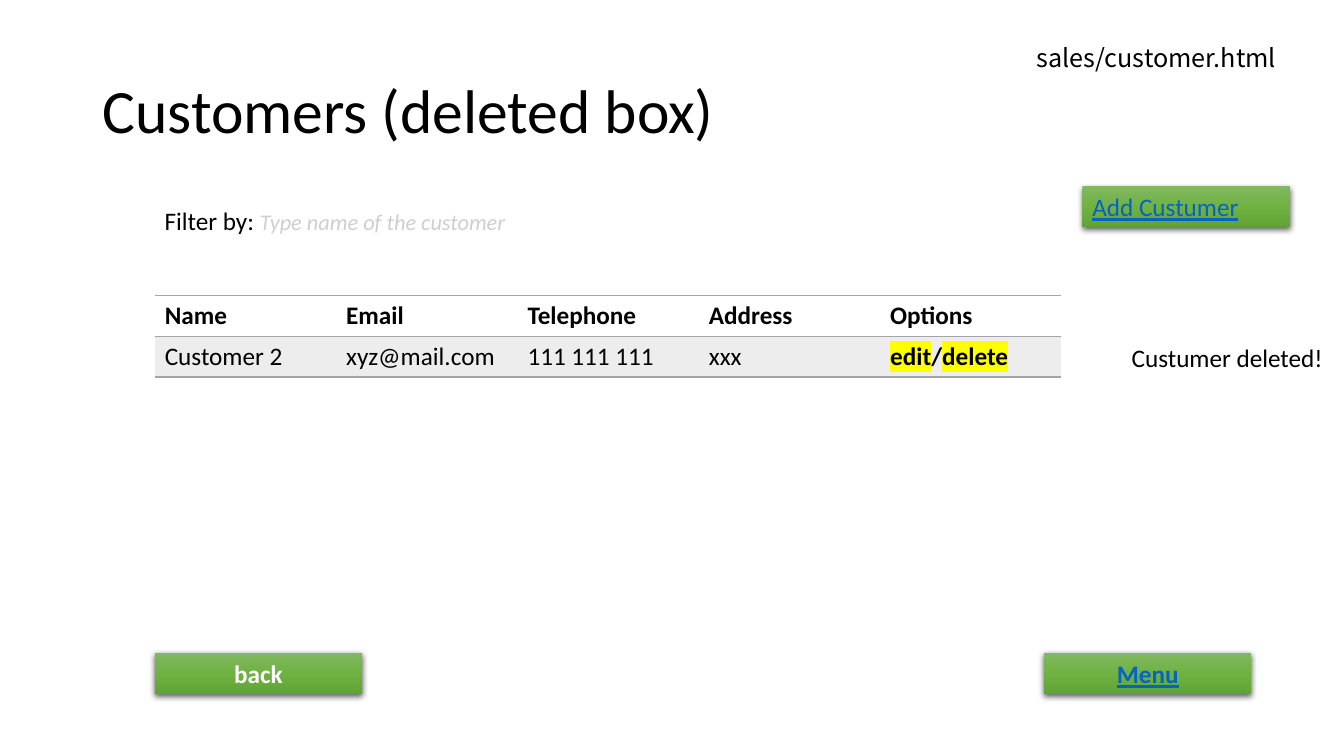
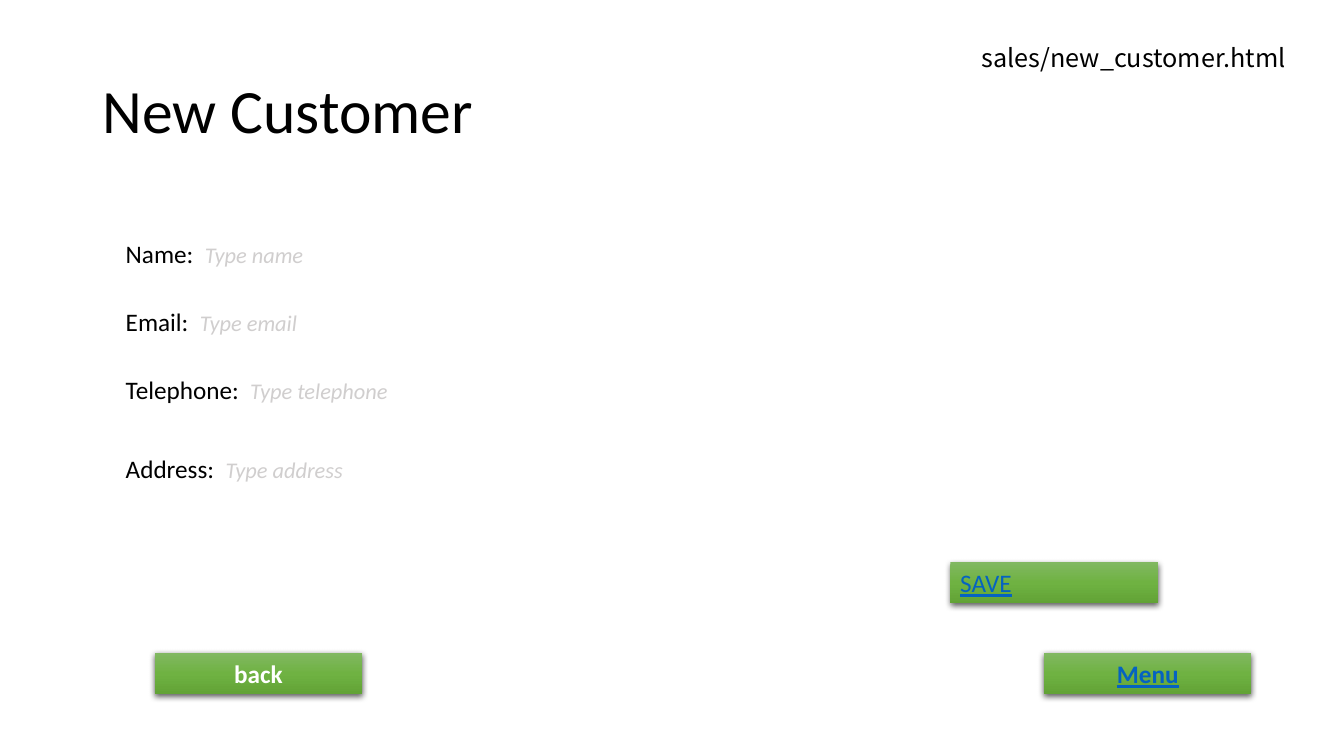
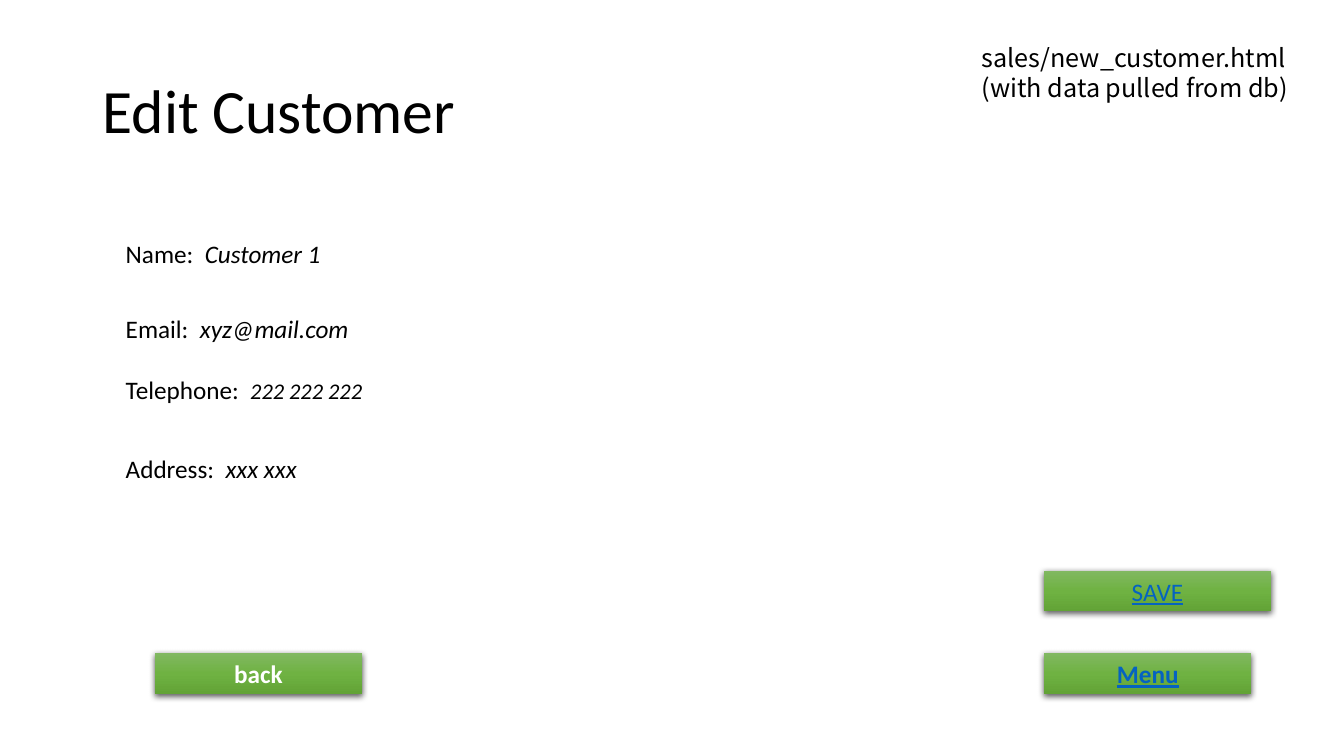
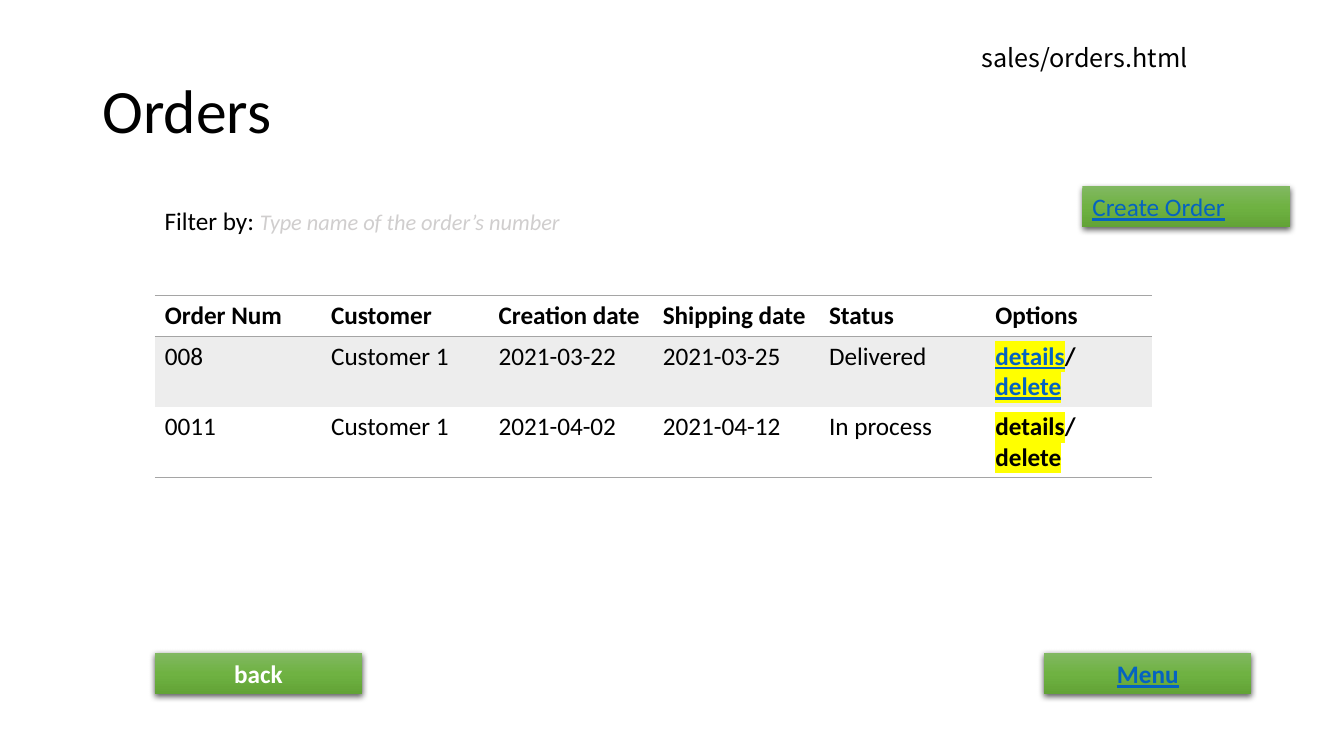
"""Build four wireframe slides for the customer and order screens of a sales application."""
import pptx
import pptx.dml.color
import pptx.enum.shapes
import pptx.enum.text
import pptx.oxml
import pptx.oxml.ns
import pptx.util

Cm = pptx.util.Cm
Pt = pptx.util.Pt
PP_ALIGN = pptx.enum.text.PP_ALIGN

BLACK, WHITE, LINK, HINT = "000000", "FFFFFF", "0563C1", "D0CECE"
RULE, BAND, YELLOW = "A5A5A5", "EDEDED", "FFFF00"
GRADIENT = [(0, "81B861"), (50, "6FB242"), (100, "62A336")]
BODY_FONT, PATH_FONT = "Calibri", "Noto Sans CJK SC"

LINE_H = 1.03
BUTTON_W = 5.23
TITLE_BOX = (2.33, 1.01, 29.21, 3.68)
FILTER_BOX = (3.9, 5.05, 21.46, LINE_H)
TABLE_LEFT, TABLE_TOP = 3.9, 7.44
FIELD_LEFT, FIELD_W = 2.92, 9.47
PATH_TOP, PATH_RIGHT = 0.94, 32.74

HINT_STYLE = {"size": 16, "color": HINT, "italic": True}
LINK_STYLE = {"color": LINK, "underline": True}
MARK = {"bold": True, "highlight": YELLOW}
LINK_MARK = {**MARK, **LINK_STYLE}
BOLD = {"bold": True}
ITALIC = {"italic": True}

CREATE_BOX = (27.28, 4.7, BUTTON_W)
NAV_BUTTONS = [
    {"text": "Menu", "box": (26.31, 16.46, BUTTON_W), "centre": True, "style": {**LINK_STYLE, **BOLD}},
    {"text": "back", "box": (3.9, 16.46, BUTTON_W), "centre": True, "style": {"color": WHITE, **BOLD}},
]

SLIDES = [
    {
        "title": "Customers (deleted box)",
        "path": ["sales/customer.html"], "path_left": 25.88, "path_h": LINE_H,
        "button": {"text": "Add Custumer", "box": CREATE_BOX, "centre": False},
        "filter": "Type name of the customer",
        "cols": [4.57] * 5,
        "rows": [
            ["Name", "Email", "Telephone", "Address", "Options"],
            ["Customer 2", "xyz@mail.com", "111 111 111", "xxx",
             [("edit", MARK), ("/", BOLD), ("delete", MARK)]],
        ],
        "message": ("Custumer deleted!", (28.27, 8.51, 5.59, LINE_H)),
    },
    {
        "title": "New Customer",
        "path": ["sales/new_customer.html"], "path_left": 24.49, "path_h": LINE_H,
        "button": {"text": "SAVE", "box": (23.95, 14.17, BUTTON_W), "centre": False},
        "fields": [
            (5.89, "Name:", "Type name", HINT_STYLE),
            (7.59, "Email:", "Type email", HINT_STYLE),
            (9.3, "Telephone:", "Type telephone", HINT_STYLE),
            (11.3, "Address:", "Type address", HINT_STYLE),
        ],
    },
    {
        "title": "Edit Customer",
        "path": ["sales/new_customer.html", "(with data pulled from db)"],
        "path_left": 24.49, "path_h": 2.57,
        "button": {"text": "SAVE", "box": (26.31, 14.38, 5.72), "centre": True},
        "fields": [
            (5.89, "Name:", "Customer 1", ITALIC),
            (7.77, "Email:", "xyz@mail.com", ITALIC),
            (9.3, "Telephone:", "222 222 222", {"size": 16, **ITALIC}),
            (11.3, "Address:", "xxx xxx", ITALIC),
        ],
    },
    {
        "title": "Orders",
        "path": ["sales/orders.html"], "path_left": 24.49, "path_h": LINE_H,
        "button": {"text": "Create Order", "box": CREATE_BOX, "centre": False},
        "filter": "Type name of the order’s number",
        "cols": [4.19, 4.22, 4.14, 4.19, 4.19, 4.19],
        "rows": [
            ["Order Num", "Customer", "Creation date", "Shipping date", "Status", "Options"],
            ["008", "Customer 1", "2021-03-22", "2021-03-25", "Delivered",
             [("details", LINK_MARK), ("/", BOLD), ("delete", LINK_MARK)]],
            ["0011", "Customer 1", "2021-04-02", "2021-04-12", "In process",
             [("details", MARK), ("/", BOLD), ("delete", MARK)]],
        ],
    },
]


def rgb(value):
    return pptx.dml.color.RGBColor.from_string(value)


def xml(text):
    return pptx.oxml.parse_xml(text.replace(">", f" {pptx.oxml.ns.nsdecls('a')}>", 1))


def add_run(p, text, size=18, color=BLACK, font=BODY_FONT, bold=False, italic=False,
            underline=False, highlight=None, spacing=None):
    r = p.add_run()
    r.text = text
    r.font.size = Pt(size)
    r.font.name = font
    r.font.bold = bold
    r.font.italic = italic
    r.font.underline = underline
    r.font.color.rgb = rgb(color)
    rPr = r._r.get_or_add_rPr()
    if highlight:
        fill = rPr.find(pptx.oxml.ns.qn("a:solidFill"))
        fill.addnext(xml(f'<a:highlight><a:srgbClr val="{highlight}"/></a:highlight>'))
    if spacing:
        rPr.set("spc", str(spacing))


def add_text(slide, box, lines):
    sp = slide.shapes.add_textbox(*map(Cm, box))
    tf = sp.text_frame
    tf.word_wrap = True
    tf.auto_size = pptx.enum.text.MSO_AUTO_SIZE.SHAPE_TO_FIT_TEXT
    for i, runs in enumerate(lines):
        p = tf.add_paragraph() if i else tf.paragraphs[0]
        for text, style in runs:
            add_run(p, text, **style)


def add_title(slide, text):
    sp = slide.shapes.title
    sp.left, sp.top, sp.width, sp.height = map(Cm, TITLE_BOX)
    tf = sp.text_frame
    tf.vertical_anchor = pptx.enum.text.MSO_ANCHOR.MIDDLE
    p = tf.paragraphs[0]
    p.alignment = PP_ALIGN.LEFT
    p.line_spacing = 0.9
    add_run(p, text, size=44)


def add_button(slide, text, box, centre, style=LINK_STYLE):
    sp = slide.shapes.add_shape(pptx.enum.shapes.MSO_SHAPE.RECTANGLE, *map(Cm, (*box, LINE_H)))
    sp.line.fill.background()
    sp.shadow.inherit = False
    spPr = sp._element.spPr
    stops = "".join(f'<a:gs pos="{pos * 1000}"><a:srgbClr val="{color}"/></a:gs>' for pos, color in GRADIENT)
    spPr.find(pptx.oxml.ns.qn("a:prstGeom")).addnext(
        xml(f'<a:gradFill><a:gsLst>{stops}</a:gsLst><a:lin ang="5400000" scaled="0"/></a:gradFill>'))
    spPr.find(pptx.oxml.ns.qn("a:effectLst")).append(xml(
        f'<a:outerShdw blurRad="{Pt(4.5)}" dist="{Pt(1.5)}" dir="5400000" algn="ctr" rotWithShape="0">'
        f'<a:srgbClr val="{BLACK}"><a:alpha val="63000"/></a:srgbClr></a:outerShdw>'))
    tf = sp.text_frame
    tf.word_wrap = True
    tf.auto_size = pptx.enum.text.MSO_AUTO_SIZE.SHAPE_TO_FIT_TEXT
    p = tf.paragraphs[0]
    p.alignment = PP_ALIGN.CENTER if centre else PP_ALIGN.LEFT
    add_run(p, text, **style)


def set_borders(cell, ruled):
    tcPr = cell._tc.get_or_add_tcPr()
    for side in "LRTB":
        paint = f'<a:solidFill><a:srgbClr val="{RULE}"/></a:solidFill>' if side in ruled else "<a:noFill/>"
        tcPr.append(xml(f'<a:ln{side} w="{Pt(1)}">{paint}</a:ln{side}>'))


def add_table(slide, cols, rows):
    frame = slide.shapes.add_table(len(rows), len(cols), Cm(TABLE_LEFT), Cm(TABLE_TOP),
                                   Cm(sum(cols)), Cm(LINE_H * len(rows)))
    table = frame.table
    table.first_row = table.horz_banding = False
    for column, width in zip(table.columns, cols):
        column.width = Cm(width)
    for i, row in enumerate(rows):
        table.rows[i].height = Cm(LINE_H)
        ruled = "TB" if i == 0 else "T" if i == 1 else ""
        if i == len(rows) - 1:
            ruled += "B"
        for j, value in enumerate(row):
            cell = table.cell(i, j)
            set_borders(cell, ruled)
            if i % 2:
                cell.fill.solid()
                cell.fill.fore_color.rgb = rgb(BAND)
            else:
                cell.fill.background()
            runs = [(value, {"bold": i == 0})] if isinstance(value, str) else value
            for text, style in runs:
                add_run(cell.text_frame.paragraphs[0], text, **style)


def build_slide(prs, data):
    slide = prs.slides.add_slide(prs.slide_layouts[5])
    add_title(slide, data["title"])
    if "filter" in data:
        add_text(slide, FILTER_BOX, [[("Filter by: ", {}), (data["filter"], HINT_STYLE)]])
        add_table(slide, data["cols"], data["rows"])
    for top, label, value, style in data.get("fields", []):
        add_text(slide, (FIELD_LEFT, top, FIELD_W, LINE_H),
                 [[(label, {}), (" ", {"spacing": 400}), (value, style)]])
    if "message" in data:
        text, box = data["message"]
        add_text(slide, box, [[(text, {})]])
    for button in [data["button"], *NAV_BUTTONS]:
        add_button(slide, **button)
    left = data["path_left"]
    add_text(slide, (left, PATH_TOP, PATH_RIGHT - left, data["path_h"]),
             [[(line, {"font": PATH_FONT})] for line in data["path"]])


def main():
    prs = pptx.Presentation()
    prs.slide_width, prs.slide_height = Cm(33.87), Cm(19.05)
    for data in SLIDES:
        build_slide(prs, data)
    prs.save("out.pptx")


if __name__ == "__main__":
    main()
